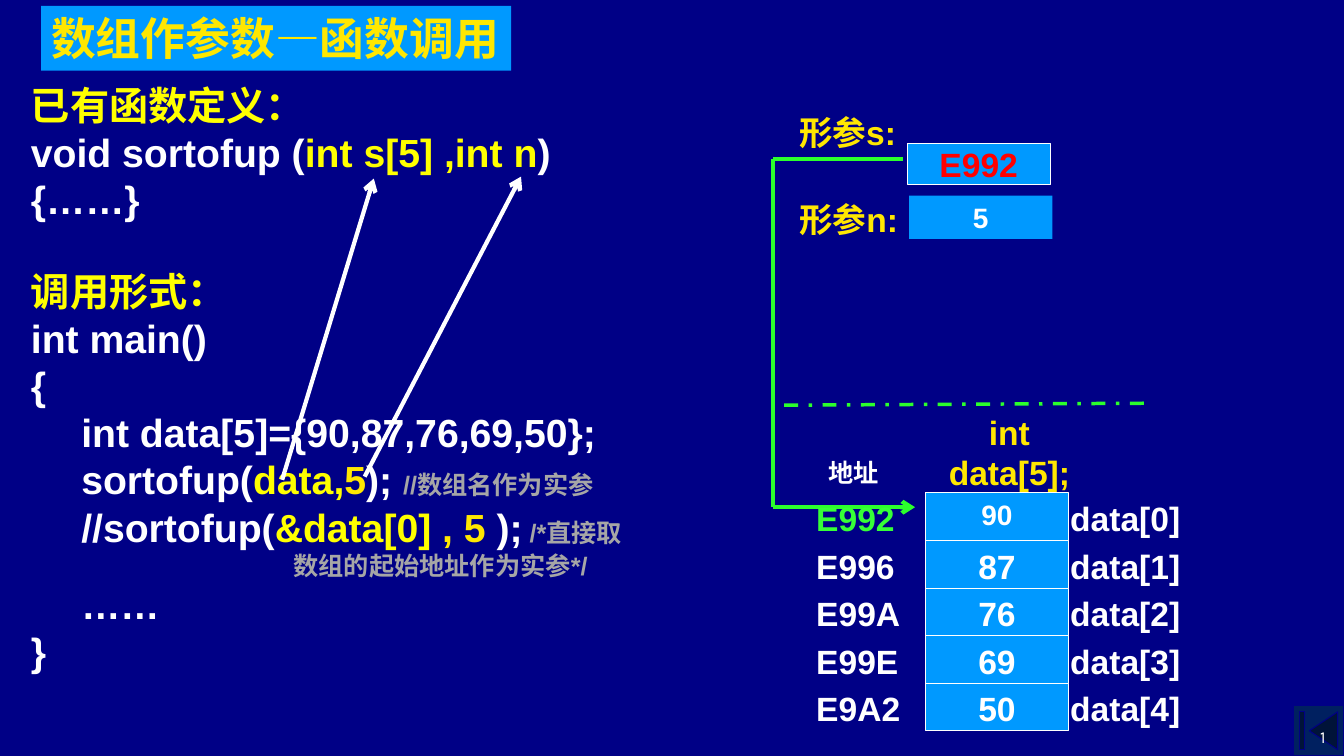
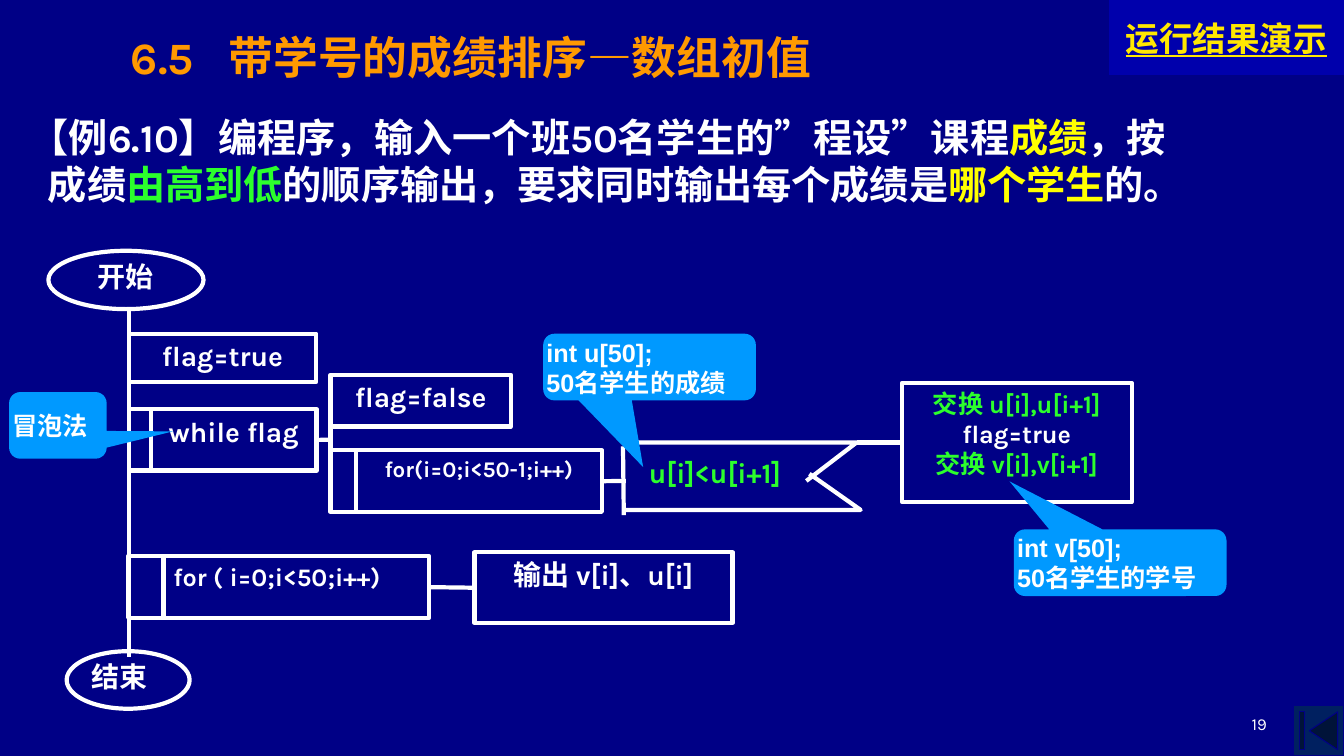
from dataclasses import dataclass
from itertools import pairwise

from lxml import etree
from pptx import Presentation
from pptx.dml.color import RGBColor
from pptx.enum.dml import MSO_LINE
from pptx.enum.shapes import MSO_CONNECTOR, MSO_SHAPE
from pptx.enum.text import MSO_ANCHOR, PP_ALIGN
from pptx.oxml.ns import qn
from pptx.util import Cm, Pt

RECT, ELLIPSE = MSO_SHAPE.RECTANGLE, MSO_SHAPE.OVAL
CALLOUT = MSO_SHAPE.ROUNDED_RECTANGULAR_CALLOUT
BACK_BUTTON = MSO_SHAPE.ACTION_BUTTON_BEGINNING
BLANK_BUTTON = MSO_SHAPE.ACTION_BUTTON_CUSTOM
STRAIGHT, DASH_DOT = MSO_CONNECTOR.STRAIGHT, MSO_LINE.DASH_DOT
TOP, MIDDLE, BOTTOM = MSO_ANCHOR.TOP, MSO_ANCHOR.MIDDLE, MSO_ANCHOR.BOTTOM
LEFT, CENTER, RIGHT = PP_ALIGN.LEFT, PP_ALIGN.CENTER, PP_ALIGN.RIGHT
SIDE_LEFT, SIDE_RIGHT = 1, 3


@dataclass(frozen=True)
class Theme:
    # colours
    back: str = "000086"
    white: str = "FFFFFF"
    yellow: str = "FFFF00"
    gold: str = "FFE701"
    green: str = "2CFF2C"
    lime: str = "37FF37"
    red: str = "FF0000"
    grey: str = "A6A6A6"
    orange: str = "FF9900"
    panel: str = "0099FF"
    button: str = "002060"
    link: str = "0000AC"
    # type
    sans: str = "Arial"
    round: str = "Karla"
    mono: str = "DejaVu Sans Mono"
    title: int = 32
    body: int = 28
    label: int = 24
    node: int = 20
    note: int = 18
    small: int = 16
    number: int = 12
    # lines
    thin: float = 0.75
    dash: float = 2.5
    thick: float = 3


T = Theme()


@dataclass
class Para:
    runs: list  # (text, colour[, size])
    left: float = 0
    first: float = 0
    before: float = 0
    tab: float = 0


# ---- Content: array as argument ----
INDENT = 1.27
CALL_TITLE = "数组作参数—函数调用"
CODE = [
    Para([("已有函数定义：", T.yellow)]),
    Para([("void sortofup (", T.white), ("int s[5] ,int n", T.yellow), (")", T.white)]),
    Para([("{……}", T.white)]),
    Para([("调用形式：", T.yellow)], before=32),
    Para([("int main()", T.white)]),
    Para([("{", T.white)]),
    Para([("int data[5]={90,87,76,69,50};", T.white)], first=INDENT),
    Para([("sortofup(", T.white), ("data,", T.yellow), ("5", T.gold), ("); ", T.white),
          ("//数组名作为实参", T.grey, T.note)], first=INDENT),
    Para([("//sortofup(", T.white), ("&data[0] ", T.yellow), (", 5 ", T.gold),
          (");", T.white), (" /*直接取", T.grey, T.note)], first=INDENT),
    Para([("数组的起始地址作为实参*/", T.grey, T.note)], left=6.62),
    Para([("……", T.white)], first=INDENT),
    Para([("}", T.white)]),
]
ARGUMENT_ARROWS = [((9.19, 12.01), (13.13, 4.45)), ((7.11, 12.09), (9.42, 4.5))]
ADDRESS_PATH = [(22.76, 4), (19.48, 4), (19.48, 12.78), (23.06, 12.78)]
MEMORY = [  # address, address colour, value, value size
    ("E992", T.lime, "90", T.node),
    ("E996", T.white, "87", T.label),
    ("E99A", T.white, "76", T.label),
    ("E99E", T.white, "69", T.label),
    ("E9A2", T.white, "50", T.label),
]
MEMORY_TOP, MEMORY_PITCH, CELL_WIDTH = 12.42, 1.2, 3.61
GOLD_LABELS = [
    ("int data[5];", (23.14, 10.8, 4.6, 1.19)),
    ("形参s:", (19.66, 2.74, 3.4, 1.19)),
    ("形参n:", (19.89, 4.93, 3, 1.19)),
]
PARAMETERS = [  # value, place, colour, size, outline
    ("E992", (22.86, 3.61, CELL_WIDTH, 1.04), T.red, T.label, T.white),
    ("5", (22.91, 4.93, CELL_WIDTH, 1.09), T.white, T.node, None),
]

# ---- Content: sorting flowchart ----
SORT_TITLE = Para([("6.5\t带学号的成绩排序—数组初值", T.orange)], tab=2.46)
TASK = Para([
    ("【例6.10】编程序，输入一个班50名学生的”程设”课程", T.white), ("成绩", T.yellow),
    ("，按成绩", T.white), ("由高到低", T.green),
    ("的顺序输出，要求同时输出每个成绩是", T.white), ("哪个学生", T.yellow),
    ("的。", T.white)], left=0.96, first=-0.46)
DEMO = "运行结果演示"
TERMINALS = [  # text, place, alignment, left inset
    ("开始", (1.22, 6.32, 3.91, 1.47), CENTER, 0),
    ("结束", (1.68, 16.41, 3.1, 1.45), LEFT, 0.18),
]
LOOP_HEIGHT = 1.55
LOOPS = {  # name: text, size, left, top, strip width, main width, alignment, side inset
    "while": ("while flag", T.node, 3.25, 10.31, 0.55, 4.18, CENTER, 0),
    "pass": ("for(i=0;i<50-1;i++)", T.small, 8.33, 11.35, 0.64, 6.2, CENTER, 0),
    "print": ("for ( i=0;i<50;i++)", T.note, 3.23, 14.02, 0.89, 6.7, LEFT, 0.25),
}
STEPS = {  # name: lines with colours, size, place
    "set": ([("flag=true", T.white)], T.node, (3.25, 8.41, 4.72, 1.22)),
    "clear": ([("flag=false", T.white)], T.node, (8.33, 9.45, 4.55, 1.3)),
    "swap": ([("交换 u[i],u[i+1]", T.green), ("flag=true", T.white),
              ("交换 v[i],v[i+1]", T.green)], T.note, (22.73, 9.65, 5.79, 3)),
    "output": ([("输出 v[i]、u[i]", T.white)], T.node, (11.96, 13.92, 6.5, 1.78)),
}
CONDITION = ("u[i]<u[i+1]", (15.72, 11.35, 4.6, 1.47))
CONDITION_EDGES = [
    [(15.7, 11.15), (21.59, 11.15), (20.32, 12.12)],
    [(15.7, 12.85), (21.69, 12.85), (20.4, 11.94)],
]
LINKS = [  # start, end, glued start box, glued end box
    ((3.25, 7.8), (3.25, 16.56), None, None),
    ((8.33, 10.13), (8.33, 12.9), None, None),
    ((15.7, 11.25), (15.72, 12.98), None, None),
    ((7.98, 11.08), (8.33, 11.08), "while", None),
    ((15.17, 12.12), (15.77, 12.12), "pass", None),
    ((21.6, 11.15), (22.73, 11.15), None, "swap"),
    ((10.82, 14.8), (11.96, 14.8), "print", "output"),
]
CALLOUTS = [  # lines, place, pointer
    (["int u[50];", "50名学生的成绩"], (13.69, 8.41, 5.36, 1.68), (-0.03, 1.5)),
    (["int v[50];", "50名学生的学号"], (25.55, 13.34, 5.36, 1.68), (-0.52, -1.22)),
    (["冒泡法"], (0.23, 9.88, 2.46, 1.68), (1.18, 0.09)),
]


# ---- Drawing helpers ----
def rgb(colour):
    return RGBColor.from_string(colour)


def paint(shape, fill=None, line=None, width=T.thin):
    shape.shadow.inherit = False
    if fill:
        shape.fill.solid()
        shape.fill.fore_color.rgb = rgb(fill)
    else:
        shape.fill.background()
    if line:
        shape.line.color.rgb = rgb(line)
        shape.line.width = Pt(width)
    else:
        shape.line.fill.background()


def write(shape, paras, size, font=T.sans, align=LEFT, anchor=TOP, wrap=True,
          inset=None, bold=True, underline=None):
    frame = shape.text_frame
    frame.word_wrap, frame.vertical_anchor = wrap, anchor
    if inset:
        (frame.margin_left, frame.margin_top,
         frame.margin_right, frame.margin_bottom) = map(Cm, inset)
    for index, item in enumerate(paras):
        para = frame.add_paragraph() if index else frame.paragraphs[0]
        para.alignment = align
        if item.before:
            para.space_before = Pt(item.before)
        properties = para._p.get_or_add_pPr()
        if item.left or item.first:
            properties.set("marL", str(Cm(item.left)))
            properties.set("indent", str(Cm(item.first)))
        if item.tab:
            tabs = etree.SubElement(properties, qn("a:tabLst"))
            etree.SubElement(tabs, qn("a:tab"), pos=str(Cm(item.tab)), algn="l")
        for text, colour, *own_size in item.runs:
            span = para.add_run()
            span.text = text
            span.font.name, span.font.bold = font, bold
            span.font.size = Pt(own_size[0] if own_size else size)
            span.font.color.rgb = rgb(colour)
            span.font.underline = underline


def add_text(page, place, paras, size, **style):
    box = page.shapes.add_textbox(*map(Cm, place))
    write(box, paras, size, **style)
    return box


def add_box(page, kind, place, fill=None, line=None, width=T.thin):
    box = page.shapes.add_shape(kind, *map(Cm, place))
    paint(box, fill, line, width)
    return box


def add_line(page, start, end, colour=T.white, width=T.thick, arrow=False):
    line = page.shapes.add_connector(STRAIGHT, *map(Cm, start + end))
    line.line.color.rgb = rgb(colour)
    line.line.width = Pt(width)
    if arrow:
        etree.SubElement(line.line._get_or_add_ln(), qn("a:tailEnd"), type="arrow")
    etree.SubElement(line._element.spPr, qn("a:effectLst"))
    return line


def one(text, colour=T.white):
    return [Para([(text, colour)])]


def new_page(deck, number, number_place):
    page = deck.slides.add_slide(deck.slide_layouts[6])
    page.background.fill.solid()
    page.background.fill.fore_color.rgb = rgb(T.back)
    add_box(page, BACK_BUTTON, (32.6, 17.78, 1.27, 1.27), T.button, T.back)
    add_text(page, number_place, one(number), T.number, font=T.round,
             align=RIGHT, anchor=BOTTOM, bold=False)
    return page


# ---- Pages ----
def build_call_page(deck):
    page = new_page(deck, "1", (27.74, 17.68, 5.92, 1.27))
    add_text(page, (0.53, 1.93, 16.89, 15.39), CODE, T.body)
    for start, end in ARGUMENT_ARROWS:
        add_line(page, start, end, arrow=True)
    title = add_box(page, RECT, (1.04, 0.15, 11.84, 1.63), T.panel)
    write(title, one(CALL_TITLE, T.gold), T.title, wrap=False)

    # Address path from the parameter to the array
    for start, end in pairwise(ADDRESS_PATH):
        add_line(page, start, end, T.green, arrow=end == ADDRESS_PATH[-1])
    add_line(page, (19.76, 10.21), (29.01, 10.16), T.green, T.dash).line.dash_style = DASH_DOT

    # Memory cells
    add_text(page, (20.62, 11.4, 2.21, 1.02), one("地址"), T.note)
    for index, (address, colour, value, size) in enumerate(MEMORY):
        top = MEMORY_TOP + index * MEMORY_PITCH
        add_text(page, (26.72, top, CELL_WIDTH, 1.27), one(f"data[{index}]"), T.label)
        cell = add_box(page, RECT, (23.32, top, CELL_WIDTH, MEMORY_PITCH), T.panel, T.white)
        write(cell, one(value), size, align=CENTER)
        add_text(page, (20.32, top, 2.9, 1.27), one(address, colour), T.label)

    # Parameters
    for text, place in GOLD_LABELS:
        add_text(page, place, one(text, T.gold), T.label, align=CENTER,
                 anchor=MIDDLE, wrap=False)
    for text, place, colour, size, line in PARAMETERS:
        box = add_box(page, RECT, place, T.panel, line)
        write(box, one(text, colour), size, align=CENTER, anchor=MIDDLE, wrap=False)


def build_sort_page(deck):
    page = new_page(deck, "19", (24.28, 17.35, 7.9, 1.27))
    add_text(page, (3.05, 0.43, 20.67, 2.01), [SORT_TITLE], T.title,
             font=T.round, anchor=MIDDLE)
    add_text(page, (0, 2.72, 30.05, 3.2), [TASK], T.body, font=T.round)
    demo = add_box(page, BLANK_BUTTON, (27.94, 0, 5.93, 1.9), T.link)
    write(demo, one(DEMO, T.gold), T.label, font=T.mono, align=CENTER,
          anchor=MIDDLE, wrap=False, underline=True)

    # Flowchart boxes
    boxes = {}
    for text, place, align, inset in TERMINALS:
        box = add_box(page, ELLIPSE, place, line=T.white, width=T.thick)
        write(box, one(text), T.node, font=T.round, align=align, inset=(inset, 0, 0, 0))
    for name, (text, size, left, top, strip, width, align, side) in LOOPS.items():
        add_box(page, RECT, (left, top, strip, LOOP_HEIGHT), line=T.white, width=T.thick)
        boxes[name] = add_box(page, RECT, (left + strip, top, width, LOOP_HEIGHT),
                              line=T.white, width=T.thick)
        write(boxes[name], one(text), size, font=T.round, align=align,
              inset=(side, 0.13, side, 0.13))
    for name, (lines, size, place) in STEPS.items():
        boxes[name] = add_box(page, RECT, place, line=T.white, width=T.thick)
        write(boxes[name], [Para([line]) for line in lines], size,
              font=T.round, align=CENTER)

    # Condition with open edges
    for first, *rest in CONDITION_EDGES:
        builder = page.shapes.build_freeform(*map(Cm, first))
        builder.add_line_segments([(Cm(x), Cm(y)) for x, y in rest], close=False)
        paint(builder.convert_to_shape(), line=T.white, width=T.thick)
    text, place = CONDITION
    add_text(page, place, one(text, T.green), T.node, font=T.round, align=CENTER)

    for start, end, source, target in LINKS:
        line = add_line(page, start, end)
        if source:
            line.begin_connect(boxes[source], SIDE_RIGHT)
        if target:
            line.end_connect(boxes[target], SIDE_LEFT)

    # Callouts
    for lines, place, (across, down) in CALLOUTS:
        box = add_box(page, CALLOUT, place, T.panel)
        box.adjustments[0], box.adjustments[1] = across, down
        write(box, [Para([(line, T.white)]) for line in lines], T.note,
              anchor=MIDDLE, inset=(0, 0.13, 0, 0.13))


def main():
    deck = Presentation()
    deck.slide_width, deck.slide_height = Cm(33.87), Cm(19.05)
    build_call_page(deck)
    build_sort_page(deck)
    deck.save("out.pptx")


if __name__ == "__main__":
    main()
